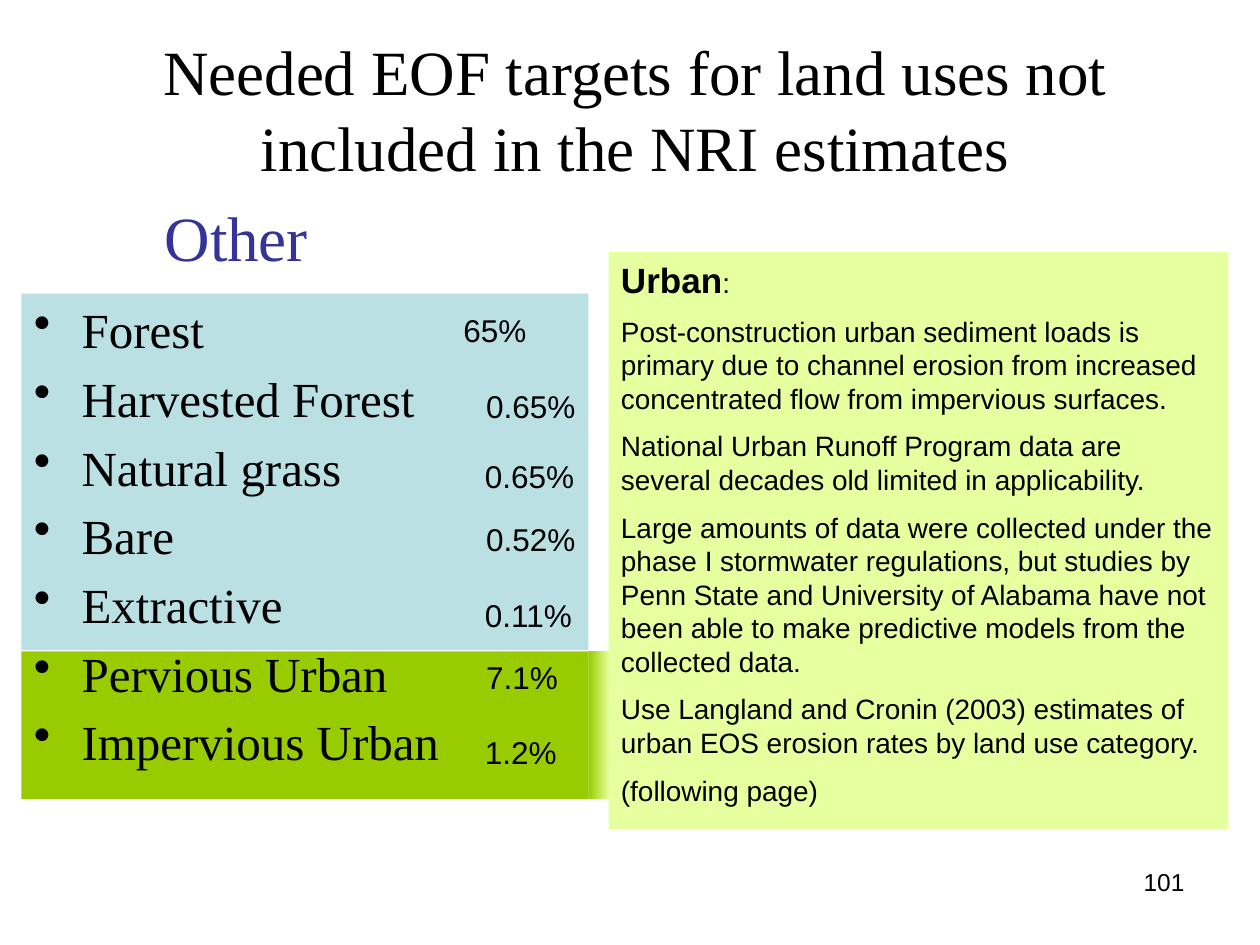
from dataclasses import dataclass

from lxml.etree import SubElement
from pptx import Presentation
from pptx.dml.color import RGBColor
from pptx.enum.shapes import MSO_SHAPE as Shape
from pptx.enum.text import MSO_ANCHOR as Anchor, PP_ALIGN as Align
from pptx.oxml.ns import qn
from pptx.slide import Slide
from pptx.util import Inches, Pt

BLACK = RGBColor(0x00, 0x00, 0x00)
INDIGO = RGBColor(0x33, 0x33, 0x99)
GREEN = RGBColor(0x99, 0xCC, 0x00)
PALE_BLUE = RGBColor(0xBB, 0xE0, 0xE3)
PALE_LIME = RGBColor(0xE6, 0xFF, 0x9F)

LAND_USES = ["Forest", "Harvested Forest", "Natural grass", "Bare",
             "Extractive", "Pervious Urban", "Impervious Urban"]
SHARES = [
    ("65%", 3.58, 2.42, 0.7),
    ("0.65%", 3.76, 3.02, 0.91),
    ("0.65%", 3.75, 3.58, 0.91),
    ("0.52%", 3.76, 4.08, 0.91),
    ("0.11%", 3.75, 4.68, 0.91),
    ("7.1%", 3.76, 5.17, 0.77),
    ("1.2%", 3.75, 5.77, 0.77),
]
URBAN_REMARKS = [
    "Post-construction urban sediment loads is primary due to channel erosion "
    "from increased concentrated flow from impervious surfaces.",
    "National Urban Runoff Program data are several decades old limited in applicability.",
    "Large amounts of data were collected under the phase I stormwater regulations, "
    "but studies by Penn State and University of Alabama have not been able to make "
    "predictive models from the collected data.",
    "Use Langland and Cronin (2003) estimates of urban EOS erosion rates by land use category.",
    "(following page)",
]


@dataclass
class SlideKit:
    page: Slide
    serif: str = "Times New Roman"
    sans: str = "Arial"

    def style(self, font, name, size, color=BLACK, bold=False):
        font.name, font.size, font.bold = name, Pt(size), bold
        font.color.rgb = color

    def panel(self, left, top, width, height, color):
        box = self.page.shapes.add_shape(
            Shape.RECTANGLE, Inches(left), Inches(top), Inches(width), Inches(height))
        box.shadow.inherit = False
        box.line.fill.background()
        box.fill.solid()
        box.fill.fore_color.rgb = color
        return box

    def fade(self, left, top, width, height, start, end):
        fill = self.panel(left, top, width, height, start).fill
        fill.gradient()
        fill.gradient_angle = 0
        for stop, position, color in zip(fill.gradient_stops, (0, 1), (start, end)):
            stop.position = position
            stop.color.rgb = color

    def text_frame(self, left, top, width, height, wrap=True):
        box = self.page.shapes.add_textbox(
            Inches(left), Inches(top), Inches(width), Inches(height))
        box.text_frame.word_wrap = wrap
        return box.text_frame

    def label(self, text, left, top, width, height, name, size, color=BLACK,
              align=Align.LEFT, anchor=Anchor.TOP, wrap=True):
        frame = self.text_frame(left, top, width, height, wrap)
        frame.vertical_anchor = anchor
        para = frame.paragraphs[0]
        para.text, para.alignment = text, align
        self.style(para.font, name, size, color)

    def bullets(self, items, left, top, width, height, size):
        frame = self.text_frame(left, top, width, height)
        frame.text = "\n".join(items)
        for index, para in enumerate(frame.paragraphs):
            para.space_before = Pt(0.2 * size if index else 0)
            properties = para._p.get_or_add_pPr()
            properties.set("marL", str(Inches(0.38)))
            properties.set("indent", str(-Inches(0.38)))
            SubElement(properties, qn("a:buChar"), char="•")
            self.style(para.font, self.serif, size)

    def commentary(self, heading, remarks, left, top, width, height, color):
        frame = self.panel(left, top, width, height, color).text_frame
        frame.word_wrap, frame.vertical_anchor = True, Anchor.TOP
        first = frame.paragraphs[0]
        first.alignment = Align.LEFT
        for text, size, bold in ((heading, 20, True), (":", 16, False)):
            span = first.add_run()
            span.text = text
            self.style(span.font, self.sans, size, bold=bold)
        for remark in remarks:
            para = frame.add_paragraph()
            para.text, para.alignment = remark, Align.LEFT
            para.space_before = Pt(8)
            self.style(para.font, self.sans, 16)


def main():
    deck = Presentation()
    deck.slide_width, deck.slide_height = Inches(10), Inches(7.5)
    kit = SlideKit(deck.slides.add_slide(deck.slide_layouts[6]))

    kit.label("101", 7.17, 6.83, 2.33, 0.52, kit.sans, 14, align=Align.RIGHT)
    kit.panel(0.17, 5.17, 4.5, 1.17, GREEN)
    kit.panel(0.17, 2.33, 4.5, 2.83, PALE_BLUE)
    kit.bullets(LAND_USES, 0.17, 2.33, 9.67, 4.42, 28)
    kit.label("Needed EOF targets for land uses not included in the NRI estimates",
              0.5, 0.3, 9.08, 1.12, kit.serif, 36, align=Align.CENTER, anchor=Anchor.MIDDLE)
    kit.label("Other", 0, 1.5, 3.75, 0.75, kit.serif, 36, INDIGO,
              Align.CENTER, Anchor.MIDDLE)
    for text, left, top, width in SHARES:
        kit.label(text, left, top, width, 0.4, kit.sans, 18, wrap=False)
    kit.commentary("Urban", URBAN_REMARKS, 4.83, 2, 4.92, 4.58, PALE_LIME)
    kit.fade(4.67, 5.17, 0.17, 1.17, GREEN, PALE_LIME)

    deck.save("out.pptx")


if __name__ == "__main__":
    main()
